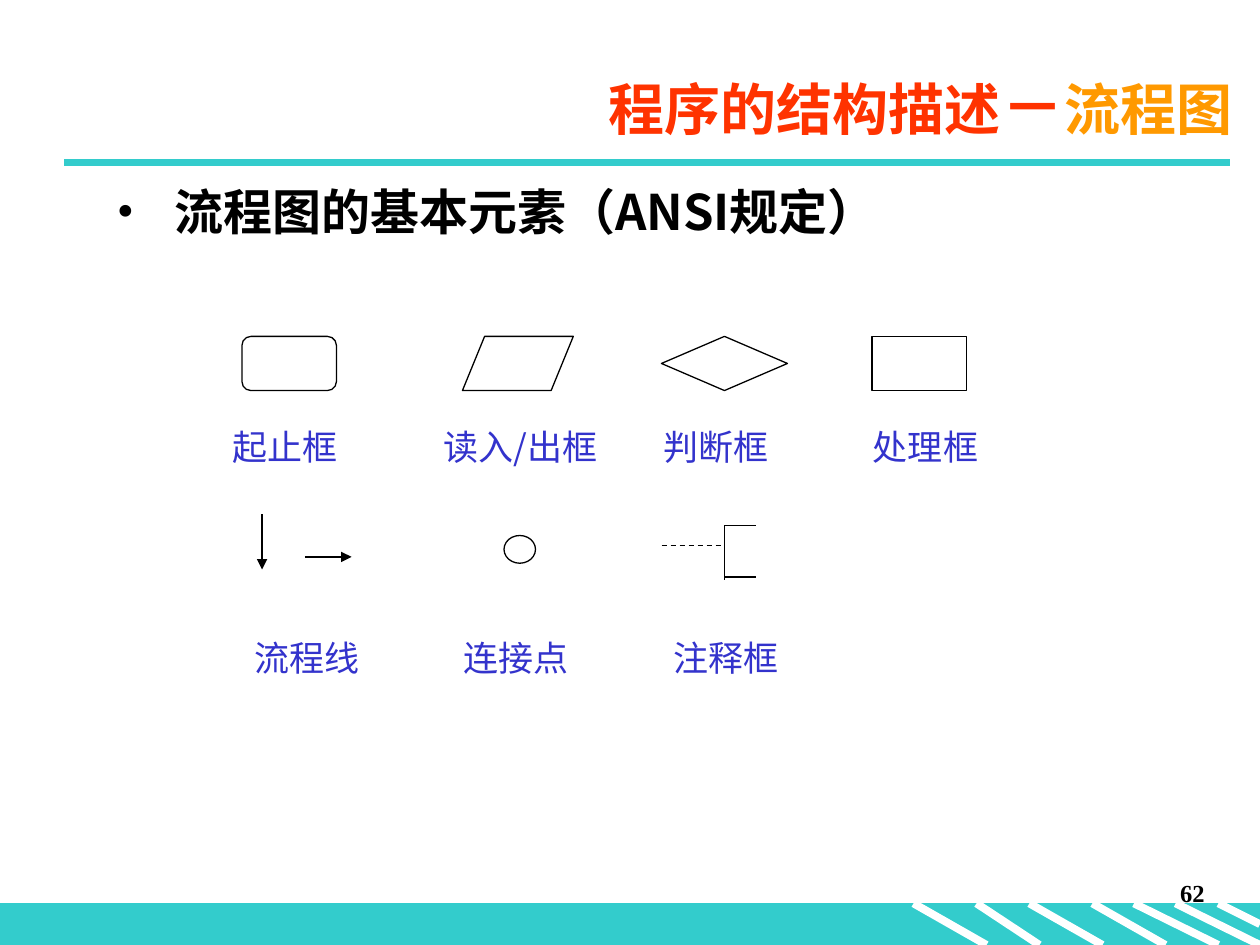
from lxml import etree
from pptx import Presentation
from pptx.dml.color import RGBColor
from pptx.enum import dml, shapes, text
from pptx.oxml.ns import qn
from pptx.util import Inches, Pt

CJK_FONT, LATIN_FONT = "Noto Sans CJK SC", "Times New Roman"
TEAL, WHITE, BLACK = "33CCCC", "FFFFFF", "000000"
RED, ORANGE, BLUE = "FF3300", "FF9900", "3333CC"
SHAPE = shapes.MSO_SHAPE


def color(hex_value):
    return RGBColor.from_string(hex_value)


def set_font(font, size, hex_value, name=CJK_FONT, bold=False):
    font.size, font.bold, font.name = Pt(size), bold, name
    font.color.rgb = color(hex_value)
    east_asian = etree.Element(qn("a:ea"), typeface=CJK_FONT)
    font._element.find(qn("a:latin")).addnext(east_asian)


def add_text(slide, box, align=text.PP_ALIGN.LEFT, anchor=text.MSO_ANCHOR.TOP):
    frame = slide.shapes.add_textbox(*map(Inches, box)).text_frame
    frame.word_wrap = True
    frame.vertical_anchor = anchor
    paragraph = frame.paragraphs[0]
    paragraph.alignment = align
    return paragraph


def add_symbol(slide, preset, box, fill=WHITE, line=BLACK):
    symbol = slide.shapes.add_shape(preset, *map(Inches, box))
    symbol.shadow.inherit = False
    symbol.fill.solid()
    symbol.fill.fore_color.rgb = color(fill)
    symbol.line.color.rgb = color(line)
    symbol.line.width = Pt(0.75)


def add_line(slide, start, end, hex_value=BLACK, width=0.75, arrow=False, dashed=False):
    line = slide.shapes.add_connector(
        shapes.MSO_CONNECTOR.STRAIGHT, *map(Inches, (*start, *end)))
    line.line.color.rgb = color(hex_value)
    line.line.width = Pt(width)
    if dashed:
        line.line.dash_style = dml.MSO_LINE.DASH
    if arrow:
        etree.SubElement(line.line._get_or_add_ln(), qn("a:tailEnd"), type="triangle")
    etree.SubElement(line._element.spPr, qn("a:effectLst"))


def add_footer(slide, left, top, width, height):
    add_symbol(slide, SHAPE.RECTANGLE, (left, top, width, height), TEAL, TEAL)
    # Slanted stripes: start, run and drop
    stripes = [(7.25, 0.58, height), (7.75, 0.5, height), (8.17, 0.58, height),
               (8.67, 0.58, height), (9, 0.67, height), (9.33, 0.67, height),
               (9.67, 0.33, height / 2)]
    for x, run, drop in stripes:
        add_line(slide, (x, top), (x + run, top + drop), WHITE, 4.5)
    # Page number
    number = add_text(slide, (7.58, top - 0.25, 2.08, 0.5), text.PP_ALIGN.RIGHT)
    number.text = "62"
    set_font(number.font, 14, BLACK, LATIN_FONT, bold=True)


def add_header(slide, left, top, width, height):
    title = add_text(slide, (left, top, width, height),
                     text.PP_ALIGN.RIGHT, text.MSO_ANCHOR.MIDDLE)
    for words, size, hex_value, name in [("程序的结构描述", 32, RED, LATIN_FONT),
                                         ("－", 36, RED, CJK_FONT),
                                         ("流程图", 32, ORANGE, LATIN_FONT)]:
        run = title.add_run()
        run.text = words
        set_font(run.font, size, hex_value, name, bold=True)
    add_line(slide, (0.51, 1.29), (9.76, 1.29), TEAL, 4.5)


def add_topic(slide, left, top, width, height):
    topic = add_text(slide, (left, top, width, height))
    topic.text = "流程图的基本元素（ANSI规定）"
    properties = topic._p.get_or_add_pPr()
    properties.set("marL", str(Inches(0.46)))
    properties.set("indent", str(-Inches(0.46)))
    etree.SubElement(properties, qn("a:buFont"), typeface="Times New Roman")
    etree.SubElement(properties, qn("a:buChar"), char="•")
    set_font(topic.font, 28, BLACK, bold=True)


def add_labels(slide, top, labels):
    for words, left, width in labels:
        label = add_text(slide, (left, top, width, 0.43))
        label.text = words
        set_font(label.font, 20, BLUE)


def add_box_row(slide, top, height):
    for preset, left, width in [(SHAPE.FLOWCHART_ALTERNATE_PROCESS, 1.92, 0.75),
                                (SHAPE.FLOWCHART_DATA, 3.67, 0.88),
                                (SHAPE.FLOWCHART_DECISION, 5.25, 1),
                                (SHAPE.FLOWCHART_PROCESS, 6.92, 0.75)]:
        add_symbol(slide, preset, (left, top, width, height))
    add_labels(slide, top + 0.66, [("起止框", 1.75, 1.25), ("读入/出框", 3.42, 1.67),
                                   ("判断框", 5.17, 1.17), ("处理框", 6.83, 1.08)])


def add_connection_row(slide, top):
    # Flow lines
    add_line(slide, (2.08, top), (2.08, top + 0.44), arrow=True)
    add_line(slide, (2.42, top + 0.34), (2.79, top + 0.34), arrow=True)
    # Connector point
    add_symbol(slide, SHAPE.OVAL, (4, top + 0.17, 0.25, 0.22))
    # Comment bracket with its dashed leader
    spine, upper, lower = 5.75, top + 0.09, top + 0.5
    add_line(slide, (spine, upper), (spine, lower + 0.02))
    for y in (upper, lower):
        add_line(slide, (spine, y), (spine + 0.25, y))
    add_line(slide, (spine - 0.5, top + 0.25), (spine, top + 0.25), dashed=True)
    add_labels(slide, top + 0.92, [("流程线", 1.92, 1.25), ("连接点", 3.58, 1.25),
                                   ("注释框", 5.25, 1.25)])


def main():
    deck = Presentation()
    deck.slide_width, deck.slide_height = Inches(10), Inches(7.5)
    slide = deck.slides.add_slide(deck.slide_layouts[6])
    add_footer(slide, 0, 7.17, 10, 0.33)
    add_header(slide, 1.38, 0.44, 8.5, 0.79)
    add_topic(slide, 0.83, 1.39, 8.5, 5.04)
    add_box_row(slide, 2.67, 0.43)
    add_connection_row(slide, 4.08)
    deck.save("out.pptx")


if __name__ == "__main__":
    main()
